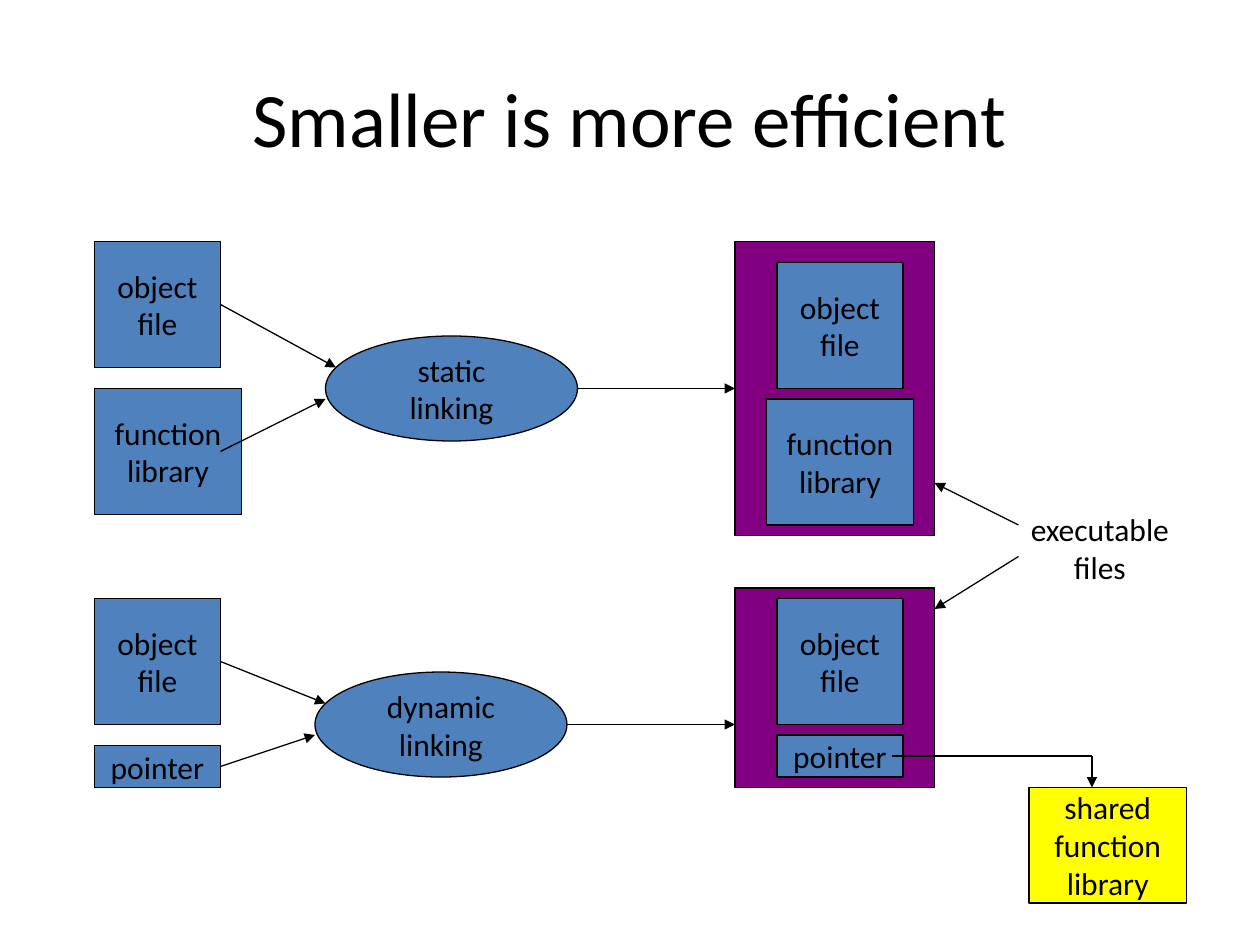
from dataclasses import dataclass

from lxml import etree
from pptx import Presentation
from pptx import util as u
from pptx.dml.color import RGBColor
from pptx.enum import shapes, text
from pptx.oxml import ns


@dataclass(frozen=True)
class Theme:
    font: str = "Calibri"
    title_size: int = 44
    label_size: int = 18
    line_width: float = 0.75
    ink: RGBColor = RGBColor(0, 0, 0)
    blue: RGBColor = RGBColor(0x4F, 0x81, 0xBD)
    purple: RGBColor = RGBColor(0x80, 0, 0x80)
    yellow: RGBColor = RGBColor(0xFF, 0xFF, 0)


theme = Theme()
deck = Presentation()
deck.slide_width, deck.slide_height = u.Inches(10), u.Inches(7.5)
CELL = deck.slide_width // 120  # the slide is a grid of 120 columns by 90 rows


def write(box, words, size=theme.label_size, anchor=text.MSO_ANCHOR.MIDDLE, wrap=True):
    frame = box.text_frame
    frame.text = words
    frame.word_wrap = wrap
    frame.auto_size = text.MSO_AUTO_SIZE.NONE
    frame.vertical_anchor = anchor
    for para in frame.paragraphs:
        para.alignment = text.PP_ALIGN.CENTER
        for span in para.runs:
            span.font.name = theme.font
            span.font.size = u.Pt(size)
            span.font.color.rgb = theme.ink


page = deck.slides.add_slide(deck.slide_layouts[5])
title = page.shapes.title
title.left, title.top = u.Inches(0.5), u.Inches(0.3)
title.width, title.height = u.Inches(9), u.Inches(1.25)
write(title, "Smaller is more efficient", size=theme.title_size)

RECT, OVAL = shapes.MSO_SHAPE.RECTANGLE, shapes.MSO_SHAPE.OVAL
OBJECT, LIBRARY, POINTER = "object\nfile", "function\nlibrary", "pointer"
piece_sizes = {OBJECT: (12, 12), LIBRARY: (14, 12), POINTER: (12, 4)}
piece_places = [
    (OBJECT, 9, 23), (LIBRARY, 9, 37), (OBJECT, 9, 57), (POINTER, 9, 71),
    (OBJECT, 74, 25), (LIBRARY, 73, 38), (OBJECT, 74, 57), (POINTER, 74, 70),
]

# kind, fill, words, column, row, columns wide, rows high; executables lie at the back
blocks = [
    (RECT, theme.purple, "", 70, 23, 19, 28),
    (RECT, theme.purple, "", 70, 56, 19, 19),
    (OVAL, theme.blue, "static linking", 31, 32, 24, 10),
    (OVAL, theme.blue, "dynamic linking", 30, 64, 24, 10),
    (RECT, theme.yellow, "shared\nfunction\nlibrary", 98, 75, 15, 11),
]
blocks += [(RECT, theme.blue, words, column, row, *piece_sizes[words])
           for words, column, row in piece_places]

for kind, fill, words, *place in blocks:
    box = page.shapes.add_shape(kind, *(CELL * n for n in place))
    box.shadow.inherit = False
    box.fill.solid()
    box.fill.fore_color.rgb = fill
    box.line.color.rgb = theme.ink
    box.line.width = u.Pt(theme.line_width)
    if words:
        write(box, words)

caption = page.shapes.add_textbox(*(int(CELL * n) for n in (97, 48, 15.5, 8.4)))
write(caption, "executable\nfiles", anchor=text.MSO_ANCHOR.TOP, wrap=False)

# start column and row, end column and row, arrowhead at the end
links = [
    (21, 29, 32, 35, True),    # object file to static linking
    (21, 43, 31, 38, True),    # function library to static linking
    (55, 37, 70, 37, True),    # static linking to its executable
    (21, 63, 31, 67, True),    # object file to dynamic linking
    (21, 73, 30, 70, True),    # pointer to dynamic linking
    (54, 69, 70, 69, True),    # dynamic linking to its executable
    (104, 72, 85, 72, False),  # pointer across to the shared library
    (104, 72, 104, 75, True),  # and down into it
    (97, 50, 89, 46, True),    # caption to each executable
    (97, 53, 89, 58, True),
]
for *ends, has_arrow in links:
    link = page.shapes.add_connector(shapes.MSO_CONNECTOR.STRAIGHT, *(CELL * n for n in ends))
    link.line.color.rgb = theme.ink
    link.line.width = u.Pt(theme.line_width)
    properties = link._element.spPr
    if has_arrow:
        outline = properties.find(ns.qn("a:ln"))
        etree.SubElement(outline, ns.qn("a:tailEnd"), type="triangle")
    etree.SubElement(properties, ns.qn("a:effectLst"))

deck.save("out.pptx")
